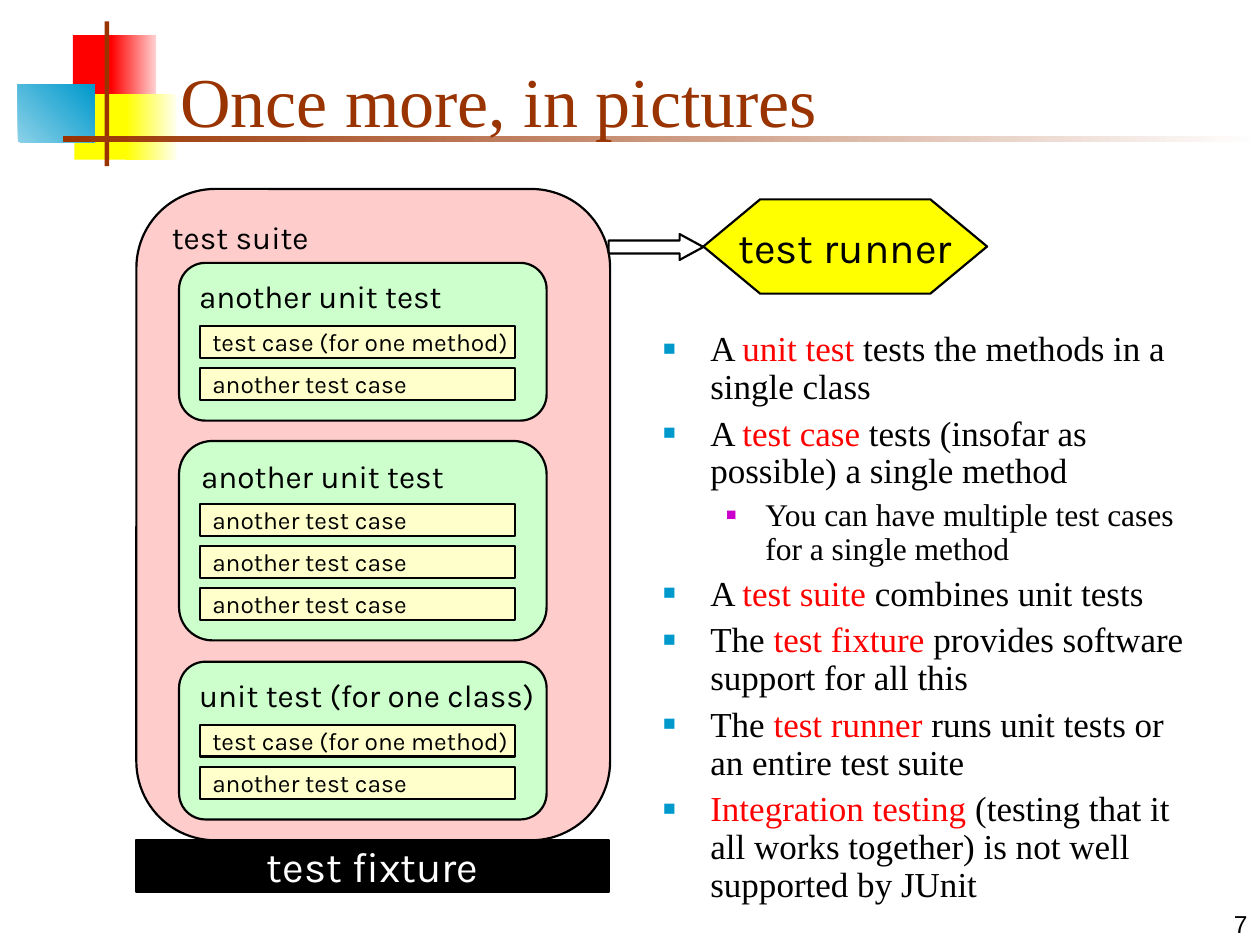
"""Build the slide that shows how test cases, unit tests, suite, fixture and runner fit together."""
from lxml.etree import SubElement
from pptx import Presentation
from pptx.dml.color import RGBColor
from pptx.enum.shapes import MSO_SHAPE as SHAPE
from pptx.enum.text import MSO_ANCHOR as ANCHOR, PP_ALIGN as ALIGN
from pptx.oxml.ns import qn
from pptx.util import Cm, Pt

BLACK = RGBColor(0x00, 0x00, 0x00)
WHITE = RGBColor(0xFF, 0xFF, 0xFF)
RED = RGBColor(0xFF, 0x00, 0x00)
PALE_RED = RGBColor(0xFF, 0xD1, 0xD1)
YELLOW = RGBColor(0xFF, 0xFF, 0x00)
PALE_YELLOW = RGBColor(0xFF, 0xFF, 0xF0)
BLUE = RGBColor(0x00, 0x99, 0xCC)
PALE_BLUE = RGBColor(0x8B, 0xD1, 0xE8)
BROWN = RGBColor(0x99, 0x33, 0x00)
PURPLE = RGBColor(0xCC, 0x00, 0xCC)
PINK = RGBColor(0xFF, 0xCC, 0xCC)
GREEN = RGBColor(0xCC, 0xFF, 0xCC)
CREAM = RGBColor(0xFF, 0xFF, 0xCC)

DECORATION = [
    ((1.47, 0.71, 0.89, 1.32), (RED,), 0),
    ((2.24, 0.71, 0.91, 1.32), (RED, PALE_RED), 0),
    ((1.5, 1.9, 1.17, 1.32), (YELLOW,), 0),
    ((2.54, 1.9, 1.02, 1.32), (YELLOW, PALE_YELLOW), 0),
    ((0.36, 1.7, 1.55, 1.17), (PALE_BLUE, BLUE), 45),
    ((2.11, 0.43, 0.09, 2.92), (BROWN,), 0),
    ((1.27, 2.74, 24.13, 0.13), (BROWN, WHITE), 0),
]
METHOD_CASE, OTHER_CASE = "test case (for one method)", "another test case"
UNIT_TESTS = [
    (5.3, 3.18, "another unit test", [METHOD_CASE, OTHER_CASE]),
    (8.89, 4.02, "another unit test", [OTHER_CASE] * 3),
    (13.34, 3.18, "unit test (for one class)", [METHOD_CASE, OTHER_CASE]),
]
POINTS = [
    (0, "A *unit test* tests the methods in a single class"),
    (0, "A *test case* tests (insofar as possible) a single method"),
    (1, "You can have multiple test cases for a single method"),
    (0, "A *test suite* combines unit tests"),
    (0, "The *test fixture* provides software support for all this"),
    (0, "The *test runner* runs unit tests or an entire test suite"),
    (0, "*Integration testing* (testing that it all works together) is not well supported by JUnit"),
]
BULLETS = [
    dict(size=20, margin=0.95, hang=0.95, before=5, color=BLUE, percent=60),
    dict(size=18, margin=2.06, hang=0.79, before=4.5, color=PURPLE, percent=55),
]


def write(p, text, font="Karla", size=18, color=BLACK, accent=RED, align=ALIGN.LEFT):
    """Fill a paragraph, giving the parts between asterisks the accent colour."""
    p.alignment = align
    for i, part in enumerate(text.split("*")):
        if part:
            r = p.add_run()
            r.text = part
            r.font.name = font
            r.font.size = Pt(size)
            r.font.color.rgb = accent if i % 2 else color


class SlideBuilder:
    """Hold the style and the slide being drawn."""

    serif = "Times New Roman"
    line_width = Pt(1.25)

    def __init__(self, slide):
        """Keep the slide's shapes at hand."""
        self.shapes = slide.shapes

    def shape(self, kind, box, fill=None):
        """Add a plain shape without shadow or line."""
        sp = self.shapes.add_shape(kind, *map(Cm, box))
        sp.shadow.inherit = False
        sp.line.fill.background()
        if fill is None:
            sp.fill.background()
        else:
            sp.fill.solid()
            sp.fill.fore_color.rgb = fill
        return sp

    def band(self, box, colors, angle):
        """Add a decorative rectangle, plain or with a gradient."""
        sp = self.shape(SHAPE.RECTANGLE, box, colors[0])
        if len(colors) > 1:
            sp.fill.gradient()
            sp.fill.gradient_angle = angle
            for stop, color in zip(sp.fill.gradient_stops, colors):
                stop.color.rgb = color

    def outlined(self, kind, box, fill=None):
        """Add a shape with a black outline."""
        sp = self.shape(kind, box, fill)
        sp.line.color.rgb = BLACK
        sp.line.width = self.line_width
        return sp

    def node(self, kind, box, fill, text, anchor=ANCHOR.MIDDLE, **fmt):
        """Add an outlined shape with a label."""
        tf = self.outlined(kind, box, fill).text_frame
        tf.word_wrap = False
        tf.vertical_anchor = anchor
        write(tf.paragraphs[0], text, **fmt)

    def frame(self, box, anchor=ANCHOR.TOP):
        """Add an empty wrapping text box."""
        tf = self.shapes.add_textbox(*map(Cm, box)).text_frame
        tf.word_wrap = True
        tf.vertical_anchor = anchor
        return tf

    def label(self, box, text, **fmt):
        """Add a line of text that sits at the bottom of its box."""
        write(self.frame(box, ANCHOR.BOTTOM).paragraphs[0], text, **fmt)

    def bullets(self, box, points):
        """Add a bulleted list of (level, text) pairs."""
        tf = self.frame(box)
        for i, (level, text) in enumerate(points):
            p = tf.add_paragraph() if i else tf.paragraphs[0]
            look = BULLETS[level]
            write(p, text, font=self.serif, size=look["size"])
            p.level = level
            p.line_spacing = 0.9
            p.space_before = Pt(look["before"])
            pPr = p._p.get_or_add_pPr()
            pPr.set("marL", str(Cm(look["margin"])))
            pPr.set("indent", str(-Cm(look["hang"])))
            color = SubElement(pPr, qn("a:buClr"))
            SubElement(color, qn("a:srgbClr"), val=str(look["color"]))
            SubElement(pPr, qn("a:buSzPct"), val=str(look["percent"] * 1000))
            SubElement(pPr, qn("a:buFont"), typeface=self.serif)
            SubElement(pPr, qn("a:buChar"), char="■")

    def unit_test(self, top, height, title, cases):
        """Add a unit test with its test cases stacked inside."""
        self.node(SHAPE.FLOWCHART_ALTERNATE_PROCESS, (3.61, top, 7.41, height),
                  GREEN, title, anchor=ANCHOR.TOP)
        for i, case in enumerate(cases):
            self.node(SHAPE.FLOWCHART_PROCESS, (4.03, top + 1.27 + 0.85 * i, 6.35, 0.64),
                      CREAM, case, size=14)


def main():
    """Draw the slide and save it."""
    prs = Presentation()
    prs.slide_width, prs.slide_height = Cm(25.4), Cm(19.05)
    s = SlideBuilder(prs.slides.add_slide(prs.slide_layouts[6]))

    for box, colors, angle in DECORATION:
        s.band(box, colors, angle)
    s.label((20.12, 17.78, 5.28, 1.27), "7", font="Arial", size=14, align=ALIGN.RIGHT)
    s.label((3.39, 0.64, 21.64, 2.33), "Once more, in pictures",
            font=s.serif, size=40, color=BROWN)

    s.node(SHAPE.FLOWCHART_ALTERNATE_PROCESS, (2.75, 3.81, 9.55, 13.13),
           PINK, "test suite", anchor=ANCHOR.TOP)
    for unit in UNIT_TESTS:
        s.unit_test(*unit)
    s.node(SHAPE.FLOWCHART_PROCESS, (2.75, 16.93, 9.53, 1.06), BLACK, "test fixture",
           size=24, color=WHITE, align=ALIGN.CENTER)
    s.node(SHAPE.FLOWCHART_PREPARATION, (14.18, 4.02, 5.72, 1.9), YELLOW, "test runner",
           size=24, align=ALIGN.CENTER)
    arrow = s.outlined(SHAPE.RIGHT_ARROW, (12.27, 4.72, 1.91, 0.52))
    arrow.adjustments[1] = 0.92
    s.bullets((13.12, 6.56, 11.01, 11.85), POINTS)

    prs.save("out.pptx")


if __name__ == "__main__":
    main()
